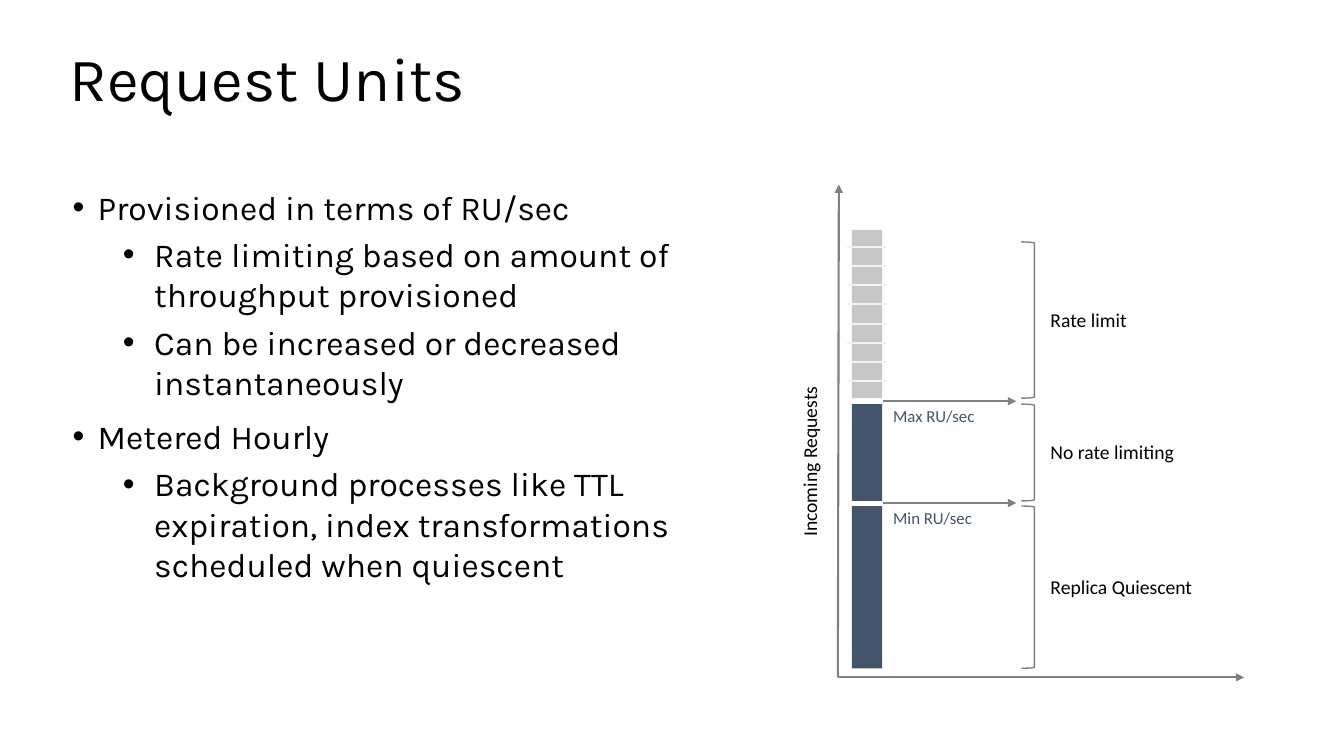
from lxml.etree import SubElement
from pptx import Presentation
from pptx.dml.color import RGBColor
from pptx.enum.shapes import MSO_CONNECTOR, MSO_SHAPE
from pptx.enum.text import MSO_ANCHOR, PP_ALIGN
from pptx.oxml.ns import qn
from pptx.util import Inches, Pt

TITLE = "Request Units"
BULLETS = [
    (1, "Provisioned in terms of RU/sec"),
    (2, "Rate limiting based on amount of throughput provisioned"),
    (2, "Can be increased or decreased instantaneously"),
    (1, "Metered Hourly"),
    (2, "Background processes like TTL expiration, index transformations scheduled when quiescent"),
]
LEVELS = {1: (0.25, 0.25, 10), 2: (0.81, 0.31, 5)}
AXIS_LABEL = "Incoming Requests"

BLACK = RGBColor(0x00, 0x00, 0x00)
NAVY = RGBColor(0x44, 0x54, 0x6A)
GRAY = RGBColor(0x80, 0x80, 0x80)
SILVER = RGBColor(0xC7, 0xC7, 0xC7)
PALE = RGBColor(0xF2, 0xF2, 0xF2)

ZONES = [
    ("Rate limit", 2.28, 2.4, 3.95, SILVER),
    ("No rate limiting", 4.01, 4.01, 4.97, NAVY),
    ("Replica Quiescent", 5.02, 5.02, 6.63, NAVY),
]
THRESHOLDS = [("Max RU/sec", 3.98), ("Min RU/sec", 4.99)]

BAR_LEFT, BAR_WIDTH = 8.45, 0.3
BRACKET_LEFT, BRACKET_WIDTH = 10.13, 0.13
LABEL_LEFT, LABEL_WIDTH, LABEL_HEIGHT = 10.32, 2.01, 0.34
ARROW_LEFT, ARROW_RIGHT = 8.76, 10.08
ORIGIN_X, ORIGIN_Y = 8.31, 6.72
AXIS_TOP, AXIS_RIGHT = 1.83, 12.34
STRIPE_TOP, STRIPE_STEP, STRIPE_COUNT = 2.45, 0.19, 8
STRIPE_OVERHANG = 0.05

presentation = Presentation()
presentation.slide_width = Inches(13.33)
presentation.slide_height = Inches(7.5)
slide = presentation.slides.add_slide(presentation.slide_layouts[6])


def add_box(left, top, width, height):
    box = slide.shapes.add_textbox(*map(Inches, (left, top, width, height)))
    box.text_frame.word_wrap = True
    return box


def add_run(paragraph, text, size, font, color=BLACK):
    run = paragraph.add_run()
    run.text = text
    run.font.size = Pt(size)
    run.font.name = font
    run.font.color.rgb = color


def add_label(text, left, top, width, height, size=14, color=BLACK):
    box = add_box(left, top, width, height)
    add_run(box.text_frame.paragraphs[0], text, size, "Calibri", color)
    return box


def add_line(start_x, start_y, end_x, end_y, color=GRAY, arrow=True):
    line = slide.shapes.add_connector(
        MSO_CONNECTOR.STRAIGHT, *map(Inches, (start_x, start_y, end_x, end_y)))
    line.line.color.rgb = color
    line.line.width = Pt(1.5)
    if arrow:
        SubElement(line.line._get_or_add_ln(), qn("a:tailEnd"), type="triangle")
    SubElement(line._element.spPr, qn("a:effectLst"))


def add_shape(kind, left, top, width, height):
    shape = slide.shapes.add_shape(kind, *map(Inches, (left, top, width, height)))
    shape.shadow.inherit = False
    return shape


title = add_box(0.59, 0.32, 12.74, 0.98)
title.text_frame.vertical_anchor = MSO_ANCHOR.MIDDLE
title.text_frame.paragraphs[0].line_spacing = 0.9
add_run(title.text_frame.paragraphs[0], TITLE, 44, "Karla")

body = add_box(0.56, 1.75, 7.14, 4.19).text_frame
body.margin_left = body.margin_right = Inches(0.16)
body.margin_top = body.margin_bottom = Inches(0.1)
for index, (level, text) in enumerate(BULLETS):
    paragraph = body.add_paragraph() if index else body.paragraphs[0]
    margin, hanging, space = LEVELS[level]
    paragraph.level = level - 1
    paragraph.space_before = Pt(space if index else 0)
    properties = paragraph._p.get_or_add_pPr()
    properties.set("marL", str(Inches(margin)))
    properties.set("indent", str(-Inches(hanging)))
    SubElement(properties, qn("a:buFont"), typeface="Arial")
    SubElement(properties, qn("a:buChar"), char="•")
    add_run(paragraph, text, 24, "Karla")

for text, bar_top, bracket_top, bottom, color in ZONES:
    bar = add_shape(MSO_SHAPE.RECTANGLE, BAR_LEFT, bar_top, BAR_WIDTH, bottom - bar_top)
    bar.fill.solid()
    bar.fill.fore_color.rgb = color
    bar.line.fill.background()
    bracket = add_shape(MSO_SHAPE.RIGHT_BRACKET, BRACKET_LEFT, bracket_top,
                        BRACKET_WIDTH, bottom - bracket_top)
    bracket.fill.background()
    bracket.line.color.rgb = GRAY
    bracket.line.width = Pt(1)
    label_top = (bracket_top + bottom - LABEL_HEIGHT) / 2
    add_label(text, LABEL_LEFT, label_top, LABEL_WIDTH, LABEL_HEIGHT)

for index in range(STRIPE_COUNT):
    stripe_y = STRIPE_TOP + index * STRIPE_STEP
    add_line(BAR_LEFT - STRIPE_OVERHANG, stripe_y,
             BAR_LEFT + BAR_WIDTH + STRIPE_OVERHANG, stripe_y, PALE, arrow=False)

for text, threshold_y in THRESHOLDS:
    add_line(ARROW_LEFT, threshold_y, ARROW_RIGHT, threshold_y)
    add_label(text, ARROW_LEFT, threshold_y, 1.23, 0.3, 12, NAVY)

add_line(ORIGIN_X, ORIGIN_Y, ORIGIN_X + 0.01, AXIS_TOP)
add_line(ORIGIN_X, ORIGIN_Y, AXIS_RIGHT, ORIGIN_Y)
axis_label = add_label(AXIS_LABEL, 6.66, 4.41, 2.74, LABEL_HEIGHT)
axis_label.rotation = 270
axis_label.text_frame.paragraphs[0].alignment = PP_ALIGN.CENTER

presentation.save("out.pptx")
